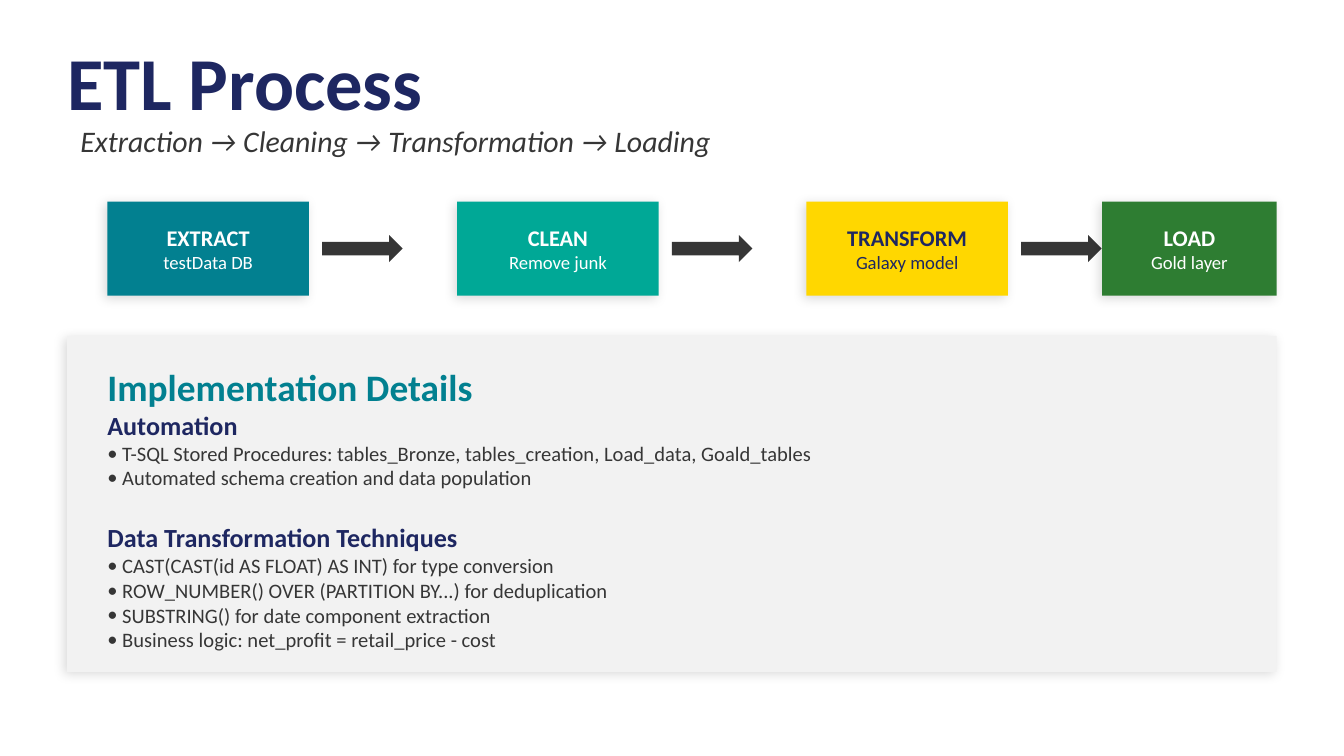
from lxml.etree import SubElement
from pptx import Presentation
from pptx.dml.color import RGBColor
from pptx.enum.shapes import MSO_SHAPE
from pptx.enum.text import MSO_ANCHOR, MSO_AUTO_SIZE, PP_ALIGN
from pptx.oxml.ns import qn
from pptx.util import Cm, Pt

COLORS = {
    "navy": "1E2761", "teal": "028090", "mint": "00A896", "gold": "FFD700",
    "green": "2E7D32", "dark": "363636", "panel": "F2F2F2", "white": "FFFFFF",
}
FONT = "Calibri"

# Name, note, fill, text colour, left and width of each step
STEPS = [
    ("EXTRACT", "testData DB", "teal", "white", 2.03, 3.81),
    ("CLEAN", "Remove junk", "mint", "white", 8.64, 3.81),
    ("TRANSFORM", "Galaxy model", "gold", "navy", 15.24, 3.81),
    ("LOAD", "Gold layer", "green", "white", 20.83, 3.3),
]
DETAILS = [
    ("Automation", [
        "T-SQL Stored Procedures: tables_Bronze, tables_creation, Load_data, Goald_tables",
        "Automated schema creation and data population",
    ]),
    ("Data Transformation Techniques", [
        "CAST(CAST(id AS FLOAT) AS INT) for type conversion",
        "ROW_NUMBER() OVER (PARTITION BY...) for deduplication",
        "SUBSTRING() for date component extraction",
        "Business logic: net_profit = retail_price - cost",
    ]),
]


def rgb(name):
    return RGBColor.from_string(COLORS[name])


def add_text(tf, text, size, color, bold=False, italic=False,
             align=PP_ALIGN.LEFT, before=0, bullet=False):
    """Write one paragraph, using the empty first one if it is free."""
    p = tf.paragraphs[0] if not tf.text else tf.add_paragraph()
    p.alignment, p.space_before = align, Pt(before)
    if bullet:
        pPr = p._p.get_or_add_pPr()
        pPr.set("marL", str(Cm(0.28)))
        pPr.set("indent", str(Cm(-0.28)))
        SubElement(pPr, qn("a:buFont"), typeface=FONT)
        SubElement(pPr, qn("a:buChar"), char="•")
    r = p.add_run()
    r.text = text
    f = r.font
    f.name, f.size, f.bold, f.italic = FONT, Pt(size), bold, italic
    f.color.rgb = rgb(color)


def set_frame(tf):
    tf.word_wrap = True
    tf.auto_size = MSO_AUTO_SIZE.NONE
    tf.vertical_anchor = MSO_ANCHOR.MIDDLE
    return tf


def add_box(s, left, top, width, height):
    box = s.shapes.add_textbox(Cm(left), Cm(top), Cm(width), Cm(height))
    return set_frame(box.text_frame)


def add_block(s, kind, color, left, top, width, height, shadow=False):
    sp = s.shapes.add_shape(kind, Cm(left), Cm(top), Cm(width), Cm(height))
    sp.fill.solid()
    sp.fill.fore_color.rgb = rgb(color)
    sp.line.fill.background()
    sp.shadow.inherit = False
    if shadow:
        effects = sp._element.spPr.find(qn("a:effectLst"))
        outer = SubElement(effects, qn("a:outerShdw"), blurRad=str(Pt(6)),
                           dist=str(Pt(2)), dir=str(135 * 60000),
                           algn="bl", rotWithShape="0")
        clr = SubElement(outer, qn("a:srgbClr"), val="000000")
        SubElement(clr, qn("a:alpha"), val="15000")
    return sp


def add_header(s, left, top, width):
    title = s.shapes.title
    title.left, title.top = Cm(left), Cm(top)
    title.width, title.height = Cm(width), Cm(1.52)
    tf = set_frame(title.text_frame)
    tf.margin_left = tf.margin_right = tf.margin_top = tf.margin_bottom = 0
    add_text(tf, "ETL Process", 40, "navy", bold=True)
    add_text(add_box(s, left, top + 1.52, width, 0.76),
             "Extraction → Cleaning → Transformation → Loading",
             16, "dark", italic=True)


def add_flow(s, top, height):
    arrow_h = 0.51
    for i, (name, note, fill, color, left, width) in enumerate(STEPS):
        sp = add_block(s, MSO_SHAPE.RECTANGLE, fill, left, top, width, height,
                       shadow=True)
        tf = set_frame(sp.text_frame)
        add_text(tf, name, 12, color, bold=True, align=PP_ALIGN.CENTER)
        add_text(tf, note, 10, color, align=PP_ALIGN.CENTER)
        if i < len(STEPS) - 1:
            add_block(s, MSO_SHAPE.RIGHT_ARROW, "dark", left + width + 0.25,
                      top + (height - arrow_h) / 2, 1.52, arrow_h)


def add_details(s, left, top, width, height):
    add_block(s, MSO_SHAPE.RECTANGLE, "panel", left, top, width, height,
              shadow=True)
    inner, inner_w = left + 0.51, width - 1.02
    add_text(add_box(s, inner, top + 0.51, inner_w, 0.89),
             "Implementation Details", 20, "teal", bold=True)
    tf = add_box(s, inner, top + 1.52, inner_w, 4.32)
    for i, (heading, items) in enumerate(DETAILS):
        add_text(tf, heading, 14, "navy", bold=True, before=17 if i else 0)
        for item in items:
            add_text(tf, item, 11, "dark", bullet=True)


def main():
    prs = Presentation()
    prs.slide_width, prs.slide_height = Cm(25.4), Cm(14.29)
    s = prs.slides.add_slide(prs.slide_layouts[5])
    s.background.fill.solid()
    s.background.fill.fore_color.rgb = rgb("white")

    add_header(s, 1.27, 0.76, 22.86)
    add_flow(s, 3.81, 1.78)
    add_details(s, 1.27, 6.35, 22.86, 6.35)
    prs.save("out.pptx")


if __name__ == "__main__":
    main()
